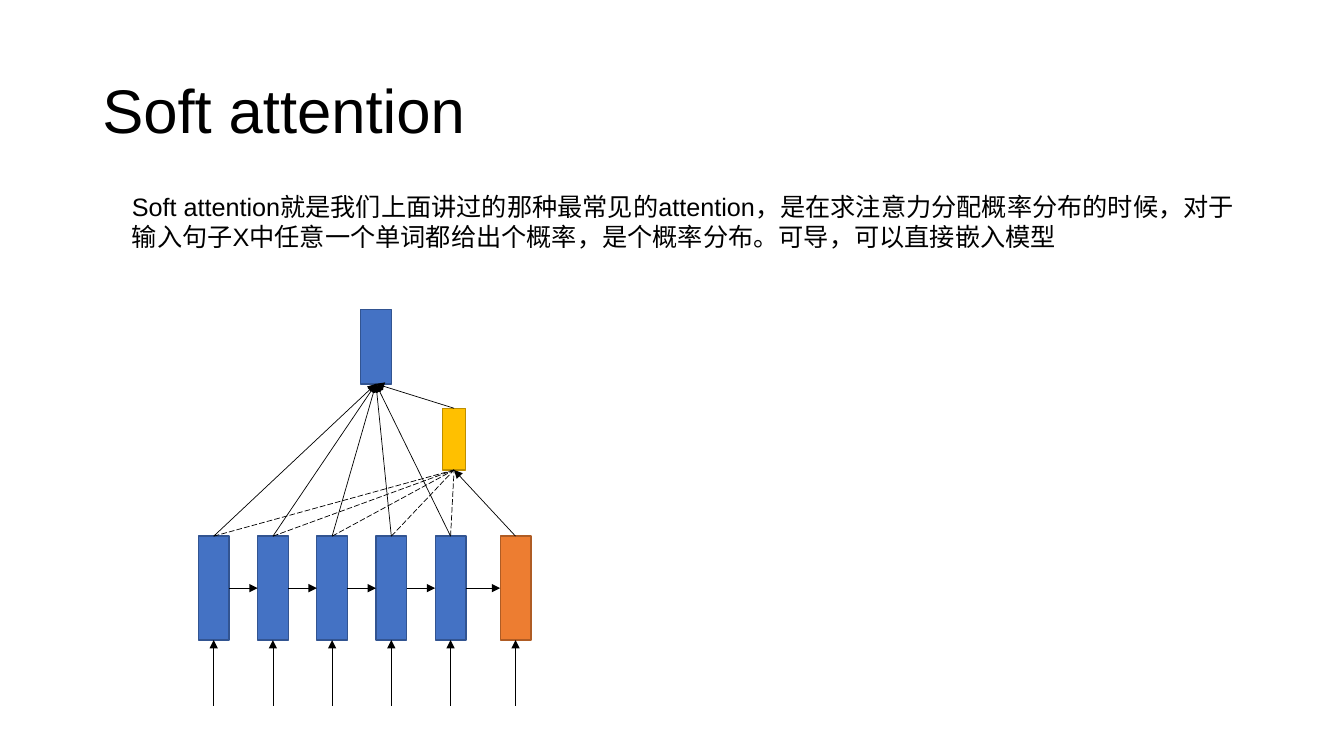
from pptx import Presentation
from pptx.dml.color import RGBColor
from pptx.enum.dml import MSO_LINE
from pptx.enum.shapes import MSO_CONNECTOR, MSO_SHAPE
from pptx.enum.text import MSO_ANCHOR
from pptx.oxml.ns import qn
from pptx.util import Pt
from lxml import etree

RECTANGLE = MSO_SHAPE.RECTANGLE
STRAIGHT = MSO_CONNECTOR.STRAIGHT
LONG_DASH = MSO_LINE.LONG_DASH
MIDDLE, TOP_ANCHOR = MSO_ANCHOR.MIDDLE, MSO_ANCHOR.TOP

BLACK = RGBColor(0x00, 0x00, 0x00)
BLUE, BLUE_EDGE = RGBColor(0x44, 0x72, 0xC4), RGBColor(0x32, 0x54, 0x91)
ORANGE, ORANGE_EDGE = RGBColor(0xED, 0x7D, 0x31), RGBColor(0xAF, 0x5C, 0x24)
GOLD, GOLD_EDGE = RGBColor(0xFF, 0xC0, 0x00), RGBColor(0xBD, 0x8E, 0x00)

TOP, LEFT, BOTTOM, RIGHT = range(4)
FONT = "Arial"

HEADING = "Soft attention"
DEFINITION = (
    "Soft attention就是我们上面讲过的那种最常见的attention，"
    "是在求注意力分配概率分布的时候，对于输入句子X中任意一个单词都给出个概率，"
    "是个概率分布。可导，可以直接嵌入模型"
)

ENCODER_COUNT = 5
ENCODER_PITCH = 42.3
CELL_WIDTH = 21.9


def add_text(slide, box, text, size, anchor, line_spacing):
    frame = slide.shapes.add_textbox(*map(Pt, box)).text_frame
    frame.word_wrap = True
    frame.vertical_anchor = anchor
    frame.text = text
    paragraph = frame.paragraphs[0]
    paragraph.line_spacing = line_spacing
    font = paragraph.runs[0].font
    font.name, font.size = FONT, Pt(size)
    font.color.rgb = BLACK


def add_cell(slide, box, fill, edge):
    cell = slide.shapes.add_shape(RECTANGLE, *map(Pt, box))
    cell.shadow.inherit = False
    cell.fill.solid()
    cell.fill.fore_color.rgb = fill
    cell.line.color.rgb = edge
    cell.line.width = Pt(1)
    return cell


def add_link(slide, target, target_side, source=None, source_side=TOP,
             start=(0, 0), dashed=False):
    """Join source (or a free start point) to target; solid links get an arrowhead."""
    x, y = map(Pt, start)
    link = slide.shapes.add_connector(STRAIGHT, x, y, x, y)
    if source is not None:
        link.begin_connect(source, source_side)
    link.end_connect(target, target_side)
    link.line.color.rgb = BLACK
    link.line.width = Pt(0.5)
    if dashed:
        link.line.dash_style = LONG_DASH
    else:
        etree.SubElement(link.get_or_add_ln(), qn("a:tailEnd"), type="triangle")
    etree.SubElement(link._element.spPr, qn("a:effectLst"))


def add_attention_diagram(slide, box):
    left, top, width, height = box
    cell_top, cell_height = top + 162, 74.2
    decoder_left = left + width - CELL_WIDTH

    encoder_lefts = [left + i * ENCODER_PITCH for i in range(ENCODER_COUNT)]
    encoders = [add_cell(slide, (x, cell_top, CELL_WIDTH, cell_height), BLUE, BLUE_EDGE)
                for x in encoder_lefts]
    decoder = add_cell(slide, (decoder_left, cell_top, CELL_WIDTH, cell_height),
                       ORANGE, ORANGE_EDGE)
    score = add_cell(slide, (left + 174.3, top + 70.6, 16.7, 44.1), GOLD, GOLD_EDGE)
    context = add_cell(slide, (left + 115.9, top, CELL_WIDTH, 53.2), BLUE, BLUE_EDGE)

    sequence = encoders + [decoder]
    for cell, x in zip(sequence, encoder_lefts + [decoder_left]):
        add_link(slide, cell, BOTTOM, start=(x + CELL_WIDTH / 2, top + height))
    for previous, following in zip(sequence, sequence[1:]):
        add_link(slide, following, LEFT, previous, RIGHT)
    for encoder in encoders:
        add_link(slide, score, BOTTOM, encoder, dashed=True)
        add_link(slide, context, BOTTOM, encoder)
    add_link(slide, score, BOTTOM, decoder)
    add_link(slide, context, BOTTOM, score)


def main():
    deck = Presentation()
    deck.slide_width, deck.slide_height = Pt(960), Pt(540)
    slide = deck.slides.add_slide(deck.slide_layouts[6])
    add_text(slide, (66, 28.8, 828, 104.4), HEADING, 44, MIDDLE, 0.9)
    add_text(slide, (87.1, 133.2, 807, 50.9), DEFINITION, 18, TOP_ANCHOR, 1.0)
    add_attention_diagram(slide, (141.7, 221, 237.5, 283))
    deck.save("out.pptx")


if __name__ == "__main__":
    main()
